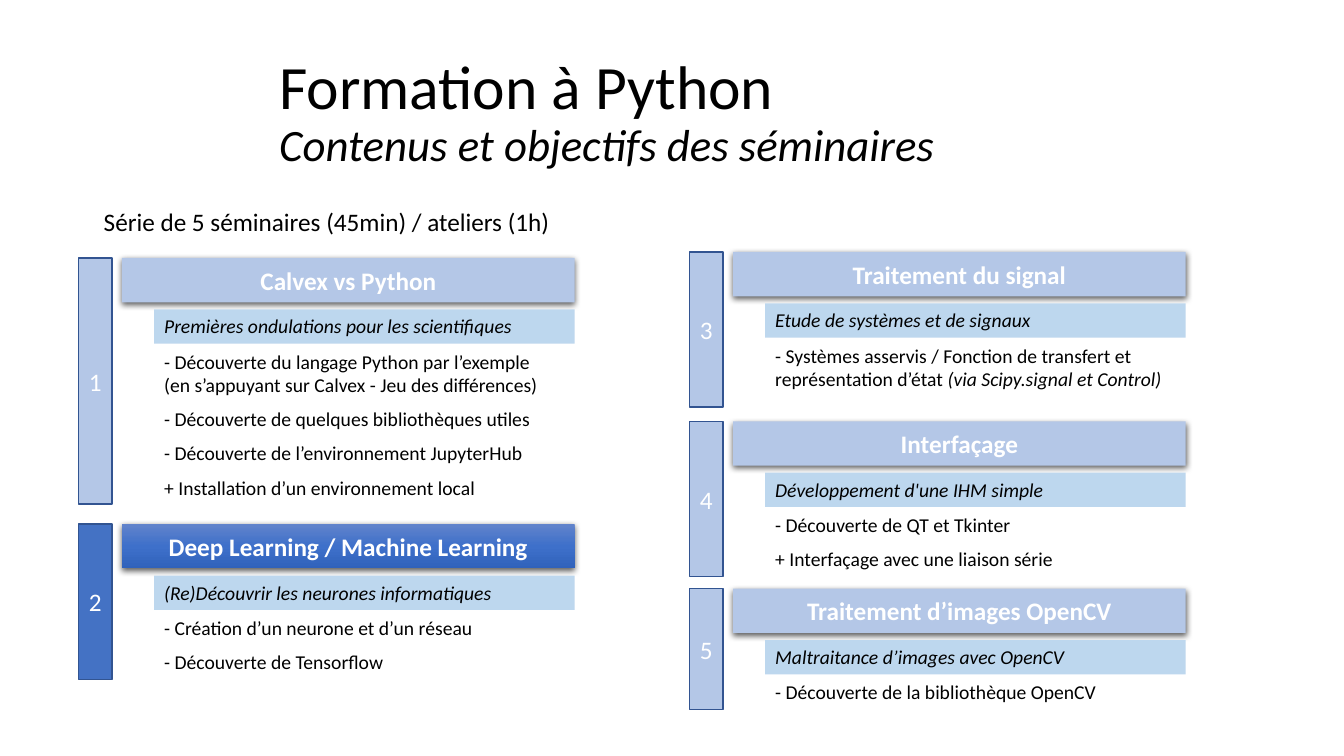
import copy

import pptx
import pptx.dml.color
import pptx.enum.shapes
import pptx.enum.text
import pptx.oxml
import pptx.oxml.ns
import pptx.util

PX = 9144  # EMU per px, 100 px to the inch
FONT = "Calibri"
BLACK, WHITE = "000000", "FFFFFF"
PALE, STRONG, EDGE, SKY = "B4C7E7", "4472C4", "325491", "BDD7EE"
GRADIENT = [(0, "6183CB"), (0.5, "3E70CA"), (1, "3062BB")]
LEFT = pptx.enum.text.PP_ALIGN.LEFT
CENTER = pptx.enum.text.PP_ALIGN.CENTER
TOP = pptx.enum.text.MSO_ANCHOR.TOP
MIDDLE = pptx.enum.text.MSO_ANCHOR.MIDDLE

COLUMN_X = (78, 684)
ROW_H, LINE_H = 34, 23

# column, top, height, active, title, subtitle, items (text, italic ending)
SEMINARS = [
    (0, 256, 244, False, "Calvex vs Python",
     "Premières ondulations pour les scientifiques",
     [("- Découverte du langage Python par l’exemple\v"
       "(en s’appuyant sur Calvex - Jeu des différences)", ""),
      ("- Découverte de quelques bibliothèques utiles", ""),
      ("- Découverte de l’environnement JupyterHub", ""),
      ("+ Installation d’un environnement local", "")]),
    (0, 520, 154, True, "Deep Learning / Machine Learning",
     "(Re)Découvrir les neurones informatiques",
     [("- Création d’un neurone et d’un réseau", ""),
      ("- Découverte de Tensorflow", "")]),
    (1, 250, 154, False, "Traitement du signal",
     "Etude de systèmes et de signaux",
     [("- Systèmes asservis / Fonction de transfert et représentation d’état ",
       "(via Scipy.signal et Control)")]),
    (1, 418, 154, False, "Interfaçage",
     "Développement d'une IHM simple",
     [("- Découverte de QT et Tkinter", ""),
      ("+ Interfaçage avec une liaison série", "")]),
    (1, 584, 120, False, "Traitement d’images OpenCV",
     "Maltraitance d’images avec OpenCV",
     [("- Découverte de la bibliothèque OpenCV", "")]),
]


def rgb(color):
    return pptx.dml.color.RGBColor.from_string(color)


def emu(*lengths):
    return [pptx.util.Emu(n * PX) for n in lengths]


def write(sp, text, size, color=BLACK, align=LEFT, anchor=TOP,
          bold=False, italic=False):
    tf = sp.text_frame
    tf.word_wrap = True
    tf.vertical_anchor = anchor
    p = tf.paragraphs[0]
    p.text = text
    p.alignment = align
    p.font.name = FONT
    p.font.size = pptx.util.Pt(size)
    p.font.bold = bold
    p.font.italic = italic
    p.font.color.rgb = rgb(color)
    return p


def add_text(slide, box, text, size, **style):
    return write(slide.shapes.add_textbox(*emu(*box)), text, size, **style)


def add_bar(slide, box, fill, text, size, line=None, **style):
    sp = slide.shapes.add_shape(
        pptx.enum.shapes.MSO_SHAPE.RECTANGLE, *emu(*box))
    sp.shadow.inherit = False
    sp.fill.solid()
    sp.fill.fore_color.rgb = rgb(fill)
    if line:
        sp.line.color.rgb = rgb(line)
        sp.line.width = pptx.util.Pt(1)
    else:
        sp.line.fill.background()
    write(sp, text, size, **style)
    return sp


def add_shadow(sp):
    effects = sp._element.spPr.find(pptx.oxml.ns.qn("a:effectLst"))
    effects.append(pptx.oxml.parse_xml(
        f'<a:outerShdw {pptx.oxml.ns.nsdecls("a")} blurRad="57150" '
        'dist="19050" dir="5400000" algn="ctr" rotWithShape="0">'
        '<a:srgbClr val="000000"><a:alpha val="63000"/></a:srgbClr>'
        '</a:outerShdw>'))


def add_gradient(sp):
    sp.fill.gradient()
    sp.fill.gradient_angle = 270
    stop_list = next(sp._element.spPr.iter(pptx.oxml.ns.qn("a:gsLst")))
    stop_list.append(copy.deepcopy(stop_list[-1]))  # third stop
    for stop, (position, color) in zip(sp.fill.gradient_stops, GRADIENT):
        stop.position = position
        stop.color.rgb = rgb(color)


def heading(slide, x, y, w, h):
    p = add_text(slide, (x, y, w, h), "Formation à Python\v", 44,
                 anchor=MIDDLE)
    p.line_spacing = 0.9
    r = p.add_run()
    r.text = "Contenus et objectifs des séminaires"
    r.font.size = pptx.util.Pt(32)
    r.font.italic = True


def seminar(slide, x, y, h, number, active, title, subtitle, items):
    # Title bar
    bar = add_bar(slide, (x + 43, y, 449, 44), PALE, title, 18, color=WHITE,
                  align=CENTER, anchor=MIDDLE, bold=True)
    add_shadow(bar)
    if active:
        add_gradient(bar)

    # Number strip
    add_bar(slide, (x, y, 33, h), STRONG if active else PALE, str(number), 18,
            line=EDGE, color=WHITE, align=CENTER, anchor=MIDDLE)

    # Subtitle, then the contents stacked below it
    add_bar(slide, (x + 75, y + 51, 417, ROW_H), SKY, subtitle, 14,
            italic=True)
    top = y + 86
    for text, ending in items:
        two_lines = "\v" in text or ending
        item_h = ROW_H + (LINE_H if two_lines else 0)
        p = add_text(slide, (x + 75, top, 417, item_h), text, 14)
        if ending:
            r = p.add_run()
            r.text = ending
            r.font.italic = True
        top += item_h


def main():
    prs = pptx.Presentation()
    prs.slide_width, prs.slide_height = emu(1333, 750)
    slide = prs.slides.add_slide(prs.slide_layouts[6])

    heading(slide, 267, 40, 749, 145)
    add_text(slide, (78, 200, 492, 40),
             "Série de 5 séminaires (45min) / ateliers (1h)", 18, align=CENTER)
    for number, (column, y, h, *content) in enumerate(SEMINARS, 1):
        seminar(slide, COLUMN_X[column], y, h, number, *content)

    prs.save("out.pptx")


if __name__ == "__main__":
    main()
